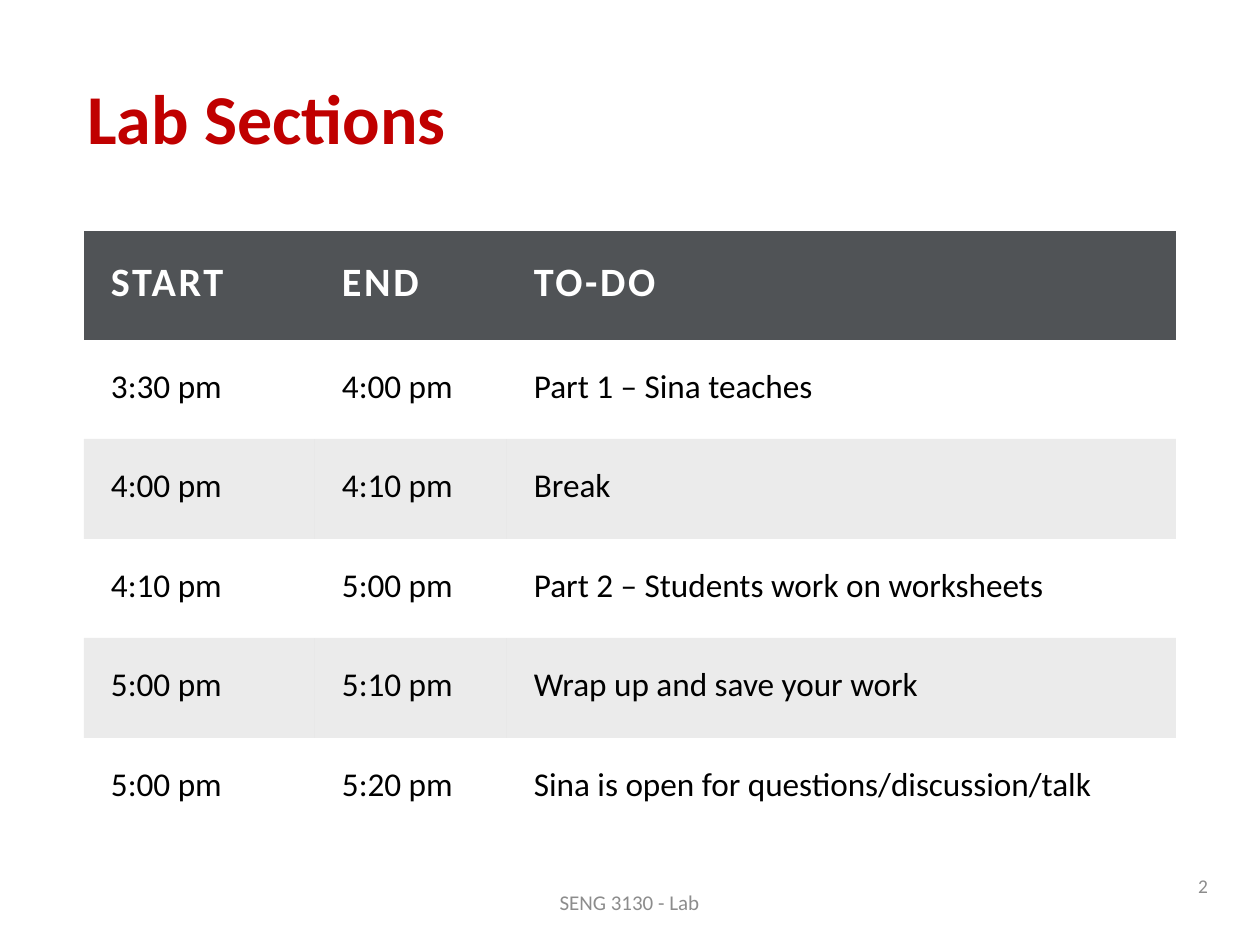
from pptx import Presentation
from pptx.dml.color import RGBColor
from pptx.enum.text import MSO_ANCHOR, MSO_AUTO_SIZE, PP_ALIGN
from pptx.oxml.ns import qn
from pptx.util import Emu, Pt
from lxml.etree import SubElement

EMU_PER_PX = 914400 / 126
NO_STYLE_TABLE = "{2D5ABB26-0587-4C30-8999-92F81FD0307C}"

SCHEDULE = [
    ("START", "END", "TO-DO"),
    ("3:30 pm", "4:00 pm", "Part 1 – Sina teaches"),
    ("4:00 pm", "4:10 pm", "Break"),
    ("4:10 pm", "5:00 pm", "Part 2 – Students work on worksheets"),
    ("5:00 pm", "5:10 pm", "Wrap up and save your work"),
    ("5:00 pm", "5:20 pm", "Sina is open for questions/discussion/talk"),
]


def px(length):
    return Emu(round(length * EMU_PER_PX))


def color(hex_string):
    return RGBColor.from_string(hex_string)


class SlideBuilder:
    font_name = "Calibri"
    title_color = "C00000"
    muted_color = "8C8C8C"
    header_fill = "505356"
    header_text = "FFFFFF"
    body_text = "000000"
    band_fill = "000000"
    band_opacity = 8
    cell_margin = 27

    def __init__(self, slide):
        self.slide = slide

    def add_run(self, paragraph, text, size, hex_color, bold=False, spacing=0):
        run = paragraph.add_run()
        run.text = text
        run.font.name = self.font_name
        run.font.size = Pt(size)
        run.font.bold = bold
        run.font.color.rgb = color(hex_color)
        if spacing:
            run._r.get_or_add_rPr().set("spc", str(round(spacing * 100)))

    def set_margins(self, target, left, top, right, bottom):
        target.margin_left, target.margin_top = px(left), px(top)
        target.margin_right, target.margin_bottom = px(right), px(bottom)

    def add_text(self, box, margins, text, size, hex_color, bold=False,
                 align=PP_ALIGN.LEFT, anchor=MSO_ANCHOR.MIDDLE, before=0, after=0):
        shape = self.slide.shapes.add_textbox(*map(px, box))
        frame = shape.text_frame
        frame.word_wrap = True
        frame.vertical_anchor = anchor
        self.set_margins(frame, *margins)
        paragraph = frame.paragraphs[0]
        paragraph.alignment = align
        paragraph.space_before = Pt(before)
        paragraph.space_after = Pt(after)
        self.add_run(paragraph, text, size, hex_color, bold)
        return shape

    def fill_cell(self, cell, row_index):
        if row_index == 0:
            cell.fill.solid()
            cell.fill.fore_color.rgb = color(self.header_fill)
        elif row_index % 2 == 0:
            cell.fill.solid()
            cell.fill.fore_color.rgb = color(self.band_fill)
            fill_color = next(cell._tc.tcPr.iter(qn("a:srgbClr")))
            SubElement(fill_color, qn("a:alpha"), val=str(self.band_opacity * 1000))
        else:
            cell.fill.background()

    def add_table(self, left, top, column_widths, row_heights, rows):
        frame = self.slide.shapes.add_table(
            len(rows), len(column_widths), px(left), px(top),
            px(sum(column_widths)), px(sum(row_heights)))
        next(frame.element.iter(qn("a:tableStyleId"))).text = NO_STYLE_TABLE
        table = frame.table
        table.first_row = table.horz_banding = False
        for column, width in zip(table.columns, column_widths):
            column.width = px(width)
        for row, height in zip(table.rows, row_heights):
            row.height = px(height)
        for row_index, texts in enumerate(rows):
            for column_index, text in enumerate(texts):
                cell = table.cell(row_index, column_index)
                self.set_margins(cell, *[self.cell_margin] * 4)
                self.fill_cell(cell, row_index)
                paragraph = cell.text_frame.paragraphs[0]
                if row_index == 0:
                    self.add_run(paragraph, text, 23, self.header_text, True, 1.5)
                else:
                    self.add_run(paragraph, text, 19, self.body_text)


def main():
    presentation = Presentation()
    presentation.slide_width, presentation.slide_height = px(1260), px(945)
    slide = presentation.slides.add_slide(presentation.slide_layouts[6])
    builder = SlideBuilder(slide)

    # Footer and slide number
    builder.add_text((428, 878, 403, 48), (12, 6, 12, 6), "SENG 3130 - Lab", 12,
                     builder.muted_color, align=PP_ALIGN.CENTER, after=6)
    builder.add_text((1186, 868, 30, 35), (8, 6, 8, 6), "2", 11.1,
                     builder.muted_color, align=PP_ALIGN.RIGHT, after=6)

    # Schedule table: body rows share 497 px evenly
    edges = [round(497 * step / 5) for step in range(6)]
    body_heights = [end - start for start, end in zip(edges, edges[1:])]
    builder.add_table(84, 231, [231, 192, 669], [109, *body_heights], SCHEDULE)

    # Title
    title = builder.add_text((86, 64, 1100, 97), (1, 11, 0, 0), "Lab Sections", 40,
                             builder.title_color, bold=True,
                             anchor=MSO_ANCHOR.TOP, before=6.6)
    title.text_frame.auto_size = MSO_AUTO_SIZE.SHAPE_TO_FIT_TEXT

    presentation.save("out.pptx")


if __name__ == "__main__":
    main()
